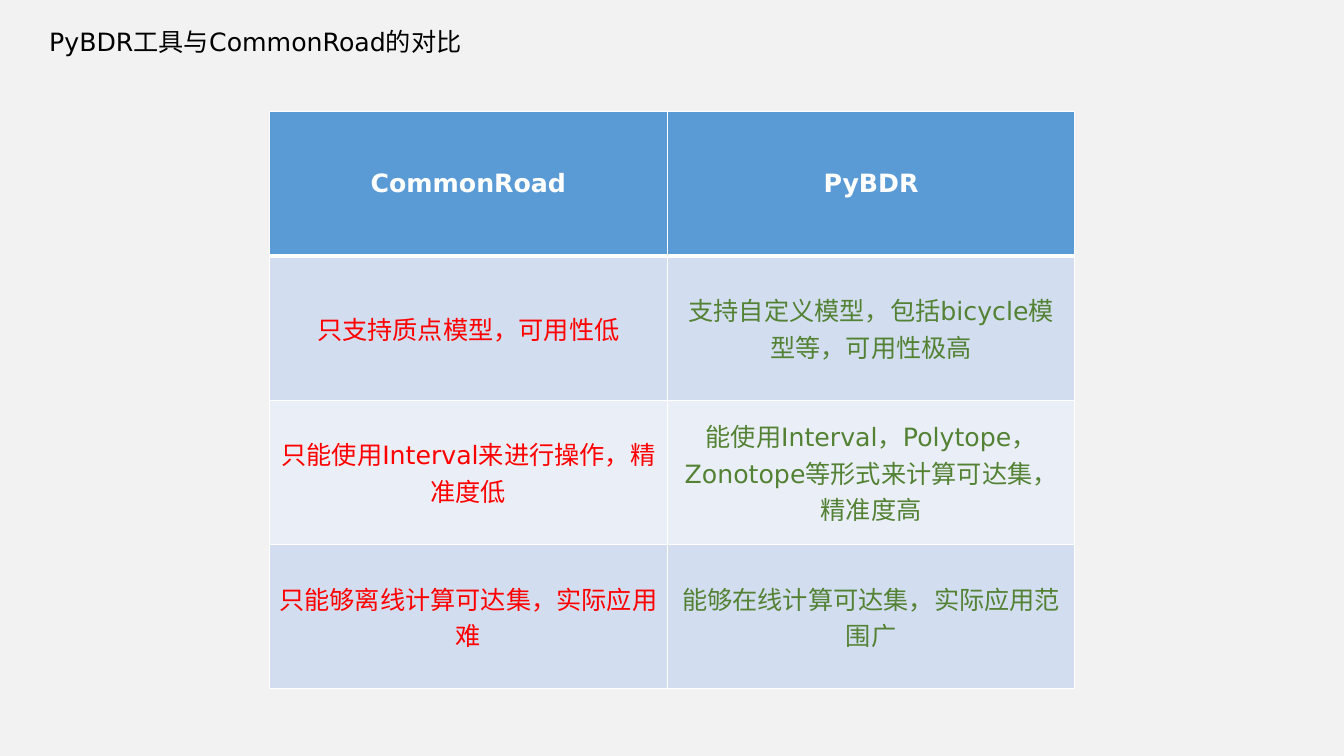
"""Build a slide with a table comparing PyBDR and CommonRoad."""
from lxml.etree import SubElement
from pptx import Presentation
from pptx.dml.color import RGBColor
from pptx.enum.text import MSO_ANCHOR, MSO_AUTO_SIZE, PP_ALIGN
from pptx.oxml.ns import qn
from pptx.util import Inches, Pt

FONT = "DejaVu Sans"
BACKGROUND = "F2F2F2"
WHITE = "FFFFFF"
BLACK = "000000"
HEADER_FILL = "5B9BD5"
BAND_FILLS = ["EAEFF7", "D2DEEF"]
COLUMN_COLORS = ["FF0000", "548235"]
COLUMN_WIDTHS = [3.95, 4.04]
ROW_HEIGHT = 1.43
TITLE = "PyBDR工具与CommonRoad的对比"
COMPARISON = [
    ["CommonRoad", "PyBDR"],
    ["只支持质点模型，可用性低", "支持自定义模型，包括bicycle模型等，可用性极高"],
    ["只能使用Interval来进行操作，精准度低",
     "能使用Interval，Polytope，Zonotope等形式来计算可达集，精准度高"],
    ["只能够离线计算可达集，实际应用难", "能够在线计算可达集，实际应用范围广"],
]


def paint(fill, color):
    """Give a fill one solid colour."""
    fill.solid()
    fill.fore_color.rgb = RGBColor.from_string(color)


def write(text_frame, text, color, bold=False, alignment=PP_ALIGN.LEFT):
    """Put one styled paragraph into a text frame."""
    text_frame.word_wrap = True
    paragraph = text_frame.paragraphs[0]
    paragraph.text = text
    paragraph.alignment = alignment
    paragraph.font.name = FONT
    paragraph.font.size = Pt(18)
    paragraph.font.bold = bold
    paragraph.font.color.rgb = RGBColor.from_string(color)


def add_border(cell, side, width):
    """Draw one white edge of a cell; call before the cell is filled."""
    line = SubElement(cell._tc.get_or_add_tcPr(), qn(f"a:ln{side}"), w=str(Pt(width)))
    SubElement(SubElement(line, qn("a:solidFill")), qn("a:srgbClr"), val=WHITE)


def style_cell(cell, text, row, column):
    """Fill, border and write one cell according to its place."""
    is_header = row == 0
    widths = {"L": 1, "R": 1, "T": 3 if row == 1 else 1, "B": 3 if is_header else 1}
    for side, width in widths.items():
        add_border(cell, side, width)
    paint(cell.fill, HEADER_FILL if is_header else BAND_FILLS[row % 2])
    cell.vertical_anchor = MSO_ANCHOR.MIDDLE
    color = WHITE if is_header else COLUMN_COLORS[column]
    write(cell.text_frame, text, color, is_header, PP_ALIGN.CENTER)


def add_title(slide):
    """Add the slide's heading."""
    box = slide.shapes.add_textbox(Inches(0.39), Inches(0.21), Inches(6.57), Inches(0.4))
    write(box.text_frame, TITLE, BLACK)
    box.text_frame.auto_size = MSO_AUTO_SIZE.SHAPE_TO_FIT_TEXT


def add_comparison(slide):
    """Add the comparison table."""
    table = slide.shapes.add_table(
        len(COMPARISON), len(COLUMN_WIDTHS), Inches(2.67), Inches(1.11),
        Inches(sum(COLUMN_WIDTHS)), Inches(ROW_HEIGHT * len(COMPARISON))).table
    for column, width in zip(table.columns, COLUMN_WIDTHS):
        column.width = Inches(width)
    for row, texts in enumerate(COMPARISON):
        table.rows[row].height = Inches(ROW_HEIGHT)
        for column, text in enumerate(texts):
            style_cell(table.cell(row, column), text, row, column)


def main():
    """Build and save the presentation."""
    presentation = Presentation()
    presentation.slide_width = Inches(13.33)
    presentation.slide_height = Inches(7.5)
    slide = presentation.slides.add_slide(presentation.slide_layouts[6])
    paint(slide.background.fill, BACKGROUND)
    add_title(slide)
    add_comparison(slide)
    presentation.save("out.pptx")


if __name__ == "__main__":
    main()
